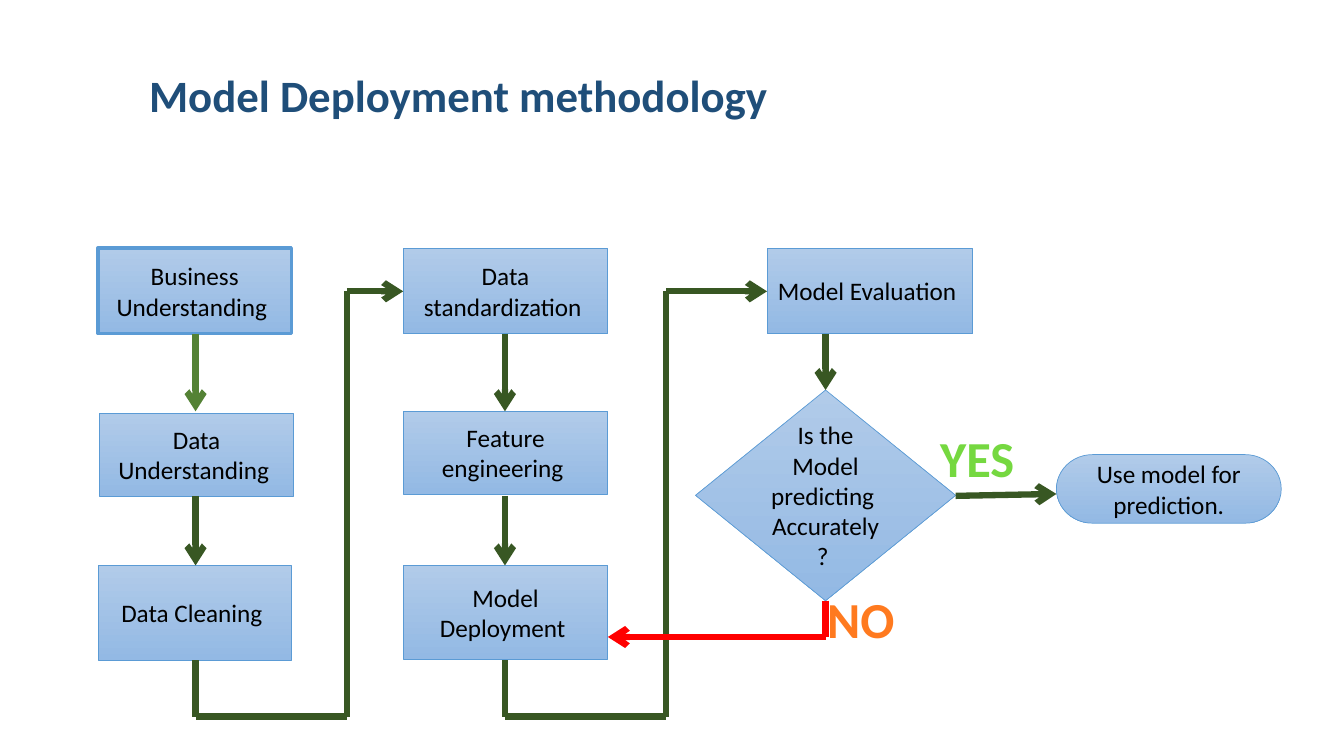
from dataclasses import dataclass

from lxml import etree
from pptx import Presentation
from pptx import util as u
from pptx.dml.color import RGBColor
from pptx.enum import shapes, text
from pptx.oxml.ns import qn


@dataclass(frozen=True)
class Theme:
    font: str = "Calibri"
    serif: str = "Times New Roman"
    title: str = "1F4E79"
    ink: str = "000000"
    box_top: str = "B1CBE9"
    box_bottom: str = "93B9E4"
    outline: str = "5B9BD5"
    start_arrow: str = "548235"
    arrow: str = "385723"
    retry: str = "FF0000"
    yes: str = "75D840"
    no: str = "FF7A1F"
    title_size: int = 32
    title_lead_size: int = 40
    body_size: int = 18
    answer_size: int = 36
    answer_gap_size: int = 54
    arrow_width: float = 4.5


THEME = Theme()
PROCESS = shapes.MSO_SHAPE.FLOWCHART_PROCESS
DECISION = shapes.MSO_SHAPE.FLOWCHART_DECISION
TERMINATOR = shapes.MSO_SHAPE.FLOWCHART_TERMINATOR
CENTER = text.PP_ALIGN.CENTER


def rgb(value):
    return RGBColor.from_string(value)


def points(*values):
    return [u.Pt(v) for v in values]


def write(p, content, size=THEME.body_size, color=THEME.ink, bold=False,
          font=THEME.font, align=CENTER):
    """Append a formatted run to paragraph p."""
    p.alignment = align
    r = p.add_run()
    r.text = content
    r.font.name, r.font.size, r.font.bold = font, u.Pt(size), bold
    r.font.color.rgb = rgb(color)


def add_title(s, content):
    sp = s.shapes.title
    sp.left, sp.top, sp.width, sp.height = points(89.3, 17.3, 733.7, 100.8)
    tf = sp.text_frame
    tf.vertical_anchor = text.MSO_ANCHOR.MIDDLE
    p = tf.paragraphs[0]
    p.line_spacing = 0.9
    left = text.PP_ALIGN.LEFT
    write(p, " ", size=THEME.title_lead_size, bold=True, font=THEME.serif, align=left)
    write(p, content, size=THEME.title_size, color=THEME.title, bold=True, align=left)


def add_step(s, kind, box, *lines, outline=0.5):
    sp = s.shapes.add_shape(kind, *points(*box))
    sp.shadow.inherit = False
    sp.fill.gradient()
    sp.fill.gradient_angle = 270
    for stop, color in zip(sp.fill.gradient_stops, (THEME.box_top, THEME.box_bottom)):
        stop.color.rgb = rgb(color)
    sp.line.color.rgb = rgb(THEME.outline)
    sp.line.width = u.Pt(outline)
    tf = sp.text_frame
    tf.word_wrap = True
    tf.vertical_anchor = text.MSO_ANCHOR.MIDDLE
    for i, line in enumerate(lines):
        write(tf.add_paragraph() if i else tf.paragraphs[0], line)


def add_route(s, *stops, color=THEME.arrow):
    """Join the stops with straight lines and put an arrowhead on the last."""
    for start, end in zip(stops, stops[1:]):
        line = s.shapes.add_connector(shapes.MSO_CONNECTOR.STRAIGHT,
                                      *points(*start, *end))
        line.line.color.rgb = rgb(color)
        line.line.width = u.Pt(THEME.arrow_width)
        etree.SubElement(line._element.spPr, qn("a:effectLst"))
    etree.SubElement(line.line._get_or_add_ln(), qn("a:tailEnd"), type="arrow")


def add_answer(s, box, content, color):
    tf = s.shapes.add_textbox(*points(*box)).text_frame
    tf.word_wrap = True
    p = tf.paragraphs[0]
    write(p, content, size=THEME.answer_size, color=color, bold=True)
    write(p, " ", size=THEME.answer_gap_size, color=color, bold=True)


def main():
    prs = Presentation()
    prs.slide_width, prs.slide_height = points(960, 540)
    s = prs.slides.add_slide(prs.slide_layouts[5])
    add_title(s, "Model Deployment methodology")

    top, row_height = 177.1, 61.2
    add_step(s, PROCESS, (70, top, 138.2, row_height), "Business Understanding ",
             outline=2.25)
    add_step(s, PROCESS, (71.3, 295.2, 138.2, 59), "Data Understanding ")
    add_step(s, PROCESS, (70, 403.9, 138.2, 67.7), "Data Cleaning ")
    add_step(s, PROCESS, (288, top, 146.2, row_height), "Data standardization ")
    add_step(s, PROCESS, (288, 293.8, 146.2, 59), "Feature engineering ")
    add_step(s, PROCESS, (288, 403.9, 146.2, 67), "Model Deployment ")
    add_step(s, PROCESS, (547.9, top, 146.9, row_height), "Model Evaluation ")
    add_step(s, DECISION, (496.8, 278.6, 185.8, 150.5),
             "Is the Model predicting ", "Accurately ? ")
    add_step(s, TERMINATOR, (754.6, 324.7, 160.6, 49), "Use model for prediction.")

    first, second, third = 139.7, 360.7, 589.7
    row_end, entry, floor = 238.3, 208.1, 511.9
    for x, color in ((first, THEME.start_arrow), (second, THEME.arrow)):
        add_route(s, (x, row_end), (x, 293.8), color=color)
        add_route(s, (x, 354.2), (x, 403.9))
    for x, riser, target in ((first, 247.7, 288), (second, 475.9, 547.9)):
        add_route(s, (x, 471.6), (x, floor), (riser, floor), (riser, entry),
                  (target, entry))
    add_route(s, (third, row_end), (third, 278.6))
    add_route(s, (682.6, 354.2), (754.6, 352.8))

    add_answer(s, (653.8, 283.7, 100.8, 72.7), "YES", THEME.yes)
    add_answer(s, (575.3, 398.2, 91.4, 72.7), "NO", THEME.no)
    add_route(s, (third, 429.1), (third, 455), (434.2, 455), color=THEME.retry)

    prs.save("out.pptx")


if __name__ == "__main__":
    main()
